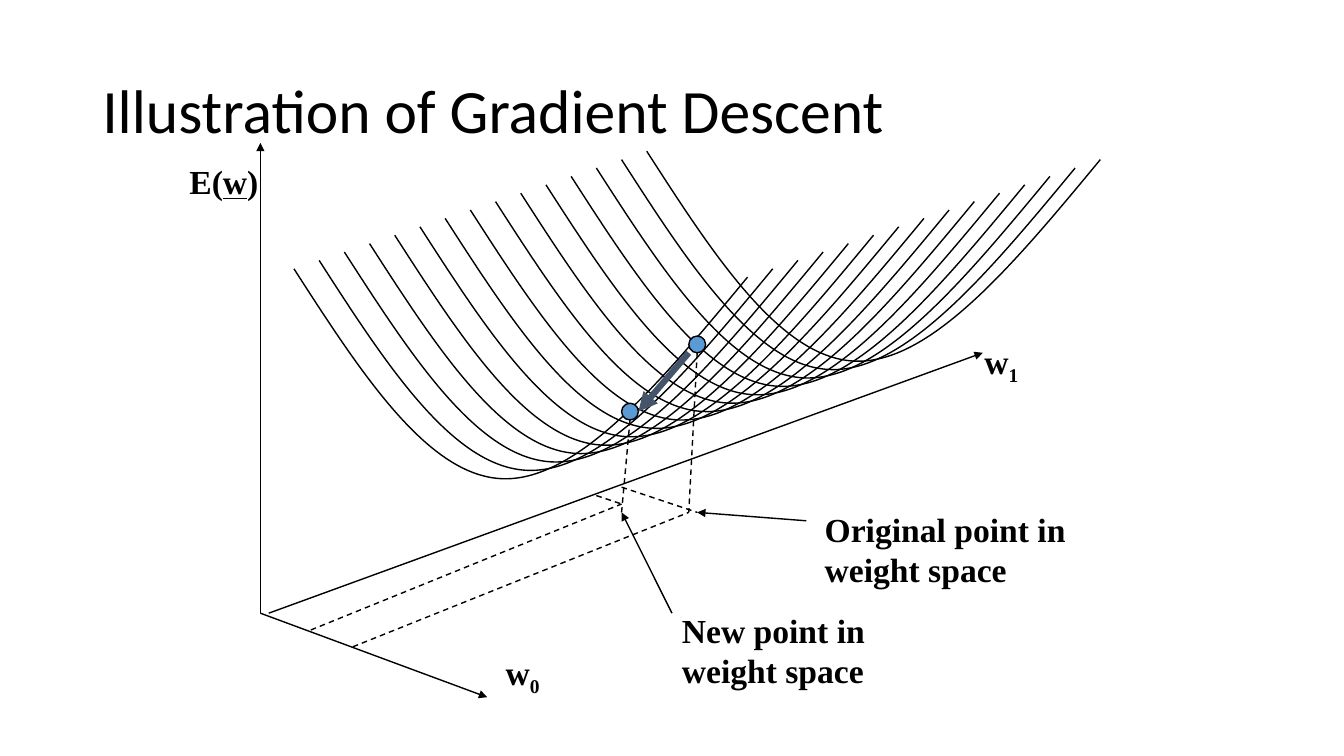
from lxml.etree import SubElement
from pptx import Presentation
from pptx.dml.color import RGBColor
from pptx.enum.dml import MSO_LINE
from pptx.enum.shapes import MSO_CONNECTOR, MSO_SHAPE
from pptx.enum.text import MSO_ANCHOR, MSO_AUTO_SIZE
from pptx.oxml.ns import qn
from pptx.util import Pt

BLACK = RGBColor(0x00, 0x00, 0x00)
BLUE = RGBColor(0x5B, 0x9B, 0xD5)
SLATE = RGBColor(0x44, 0x54, 0x6A)

prs = Presentation()
prs.slide_width, prs.slide_height = Pt(960), Pt(540)
s = prs.slides.add_slide(prs.slide_layouts[6])


def add_line(x1, y1, x2, y2, color=BLACK, width=1, dashed=False, arrow=False):
    line = s.shapes.add_connector(MSO_CONNECTOR.STRAIGHT, Pt(x1), Pt(y1), Pt(x2), Pt(y2))
    line.line.color.rgb = color
    line.line.width = Pt(width)
    if dashed:
        line.line.dash_style = MSO_LINE.DASH
    if arrow:
        SubElement(line.line._get_or_add_ln(), qn("a:tailEnd"), type="triangle")
    SubElement(line._element.spPr, qn("a:effectLst"))


def add_run(p, text, font="Times New Roman", size=24, bold=True):
    r = p.add_run()
    r.text = text
    r.font.name, r.font.size, r.font.bold = font, Pt(size), bold
    r.font.color.rgb = BLACK
    return r


title = s.shapes.add_textbox(Pt(66), Pt(28.8), Pt(828), Pt(104.4))
tf = title.text_frame
tf.word_wrap = True
tf.vertical_anchor = MSO_ANCHOR.MIDDLE
p = tf.paragraphs[0]
p.line_spacing = 0.9
add_run(p, "Illustration of Gradient Descent", "Calibri", 44, False)

valley = [(48, 74.5), (96, 149), (150, 150), (204, 151), (264, 78.5), (324, 6)]
for i in range(15):
    x0, y0 = 210 + 18 * i, 192 - 6 * i
    builder = s.shapes.build_freeform(Pt(x0), Pt(y0))
    builder.add_line_segments([(Pt(x0 + x), Pt(y0 + y)) for x, y in valley], close=False)
    curve = builder.convert_to_shape()
    outline = next(curve._element.iter(qn("a:path")))
    segments = outline.findall(qn("a:lnTo"))
    for k in (0, 3):
        bezier = SubElement(outline, qn("a:cubicBezTo"))
        for segment in segments[k:k + 3]:
            bezier.append(segment[0])
            outline.remove(segment)
    curve.shadow.inherit = False
    curve.fill.background()
    curve.line.color.rgb = BLACK
    curve.line.width = Pt(1)

for x, y in [(492, 240), (444, 288)]:
    dot = s.shapes.add_shape(MSO_SHAPE.OVAL, Pt(x), Pt(y), Pt(12), Pt(12))
    dot.shadow.inherit = False
    dot.fill.solid()
    dot.fill.fore_color.rgb = BLUE
    dot.line.color.rgb = BLACK
    dot.line.width = Pt(1)

axes = [(186, 438, 186, 102), (186, 438, 348, 498), (192, 438, 702, 252)]
pointers = [(576, 372, 498, 366), (480, 438, 444, 366)]
for ends in axes + pointers:
    add_line(*ends, arrow=True)

projections = [
    (252, 462, 492, 366), (444, 348, 498, 366), (498, 252, 492, 366),
    (450, 300, 444, 366), (426, 354, 444, 360), (222, 450, 444, 360),
]
for ends in projections:
    add_line(*ends, dashed=True)

add_line(492, 252, 456, 294, color=SLATE, width=4.5, arrow=True)

labels = [
    (696, 240, 39.6, 36, [[("w", None), ("1", "sub")]]),
    (354, 462, 39.6, 36, [[("w", None), ("0", "sub")]]),
    (128.2, 111.6, 64, 36, [[("E(", None), ("w", "underline"), (")", None)]]),
    (582, 360, 188, 65.5, [[("Original point in", None)], [("weight space", None)]]),
    (480, 432, 147, 65.5, [[("New point in", None)], [("weight space", None)]]),
]
for x, y, w, h, lines in labels:
    tf = s.shapes.add_textbox(Pt(x), Pt(y), Pt(w), Pt(h)).text_frame
    tf.word_wrap = False
    tf.auto_size = MSO_AUTO_SIZE.SHAPE_TO_FIT_TEXT
    for n, runs in enumerate(lines):
        p = tf.add_paragraph() if n else tf.paragraphs[0]
        for text, style in runs:
            r = add_run(p, text)
            if style == "underline":
                r.font.underline = True
            elif style == "sub":
                r.font._element.set("baseline", "-25000")

prs.save("out.pptx")
